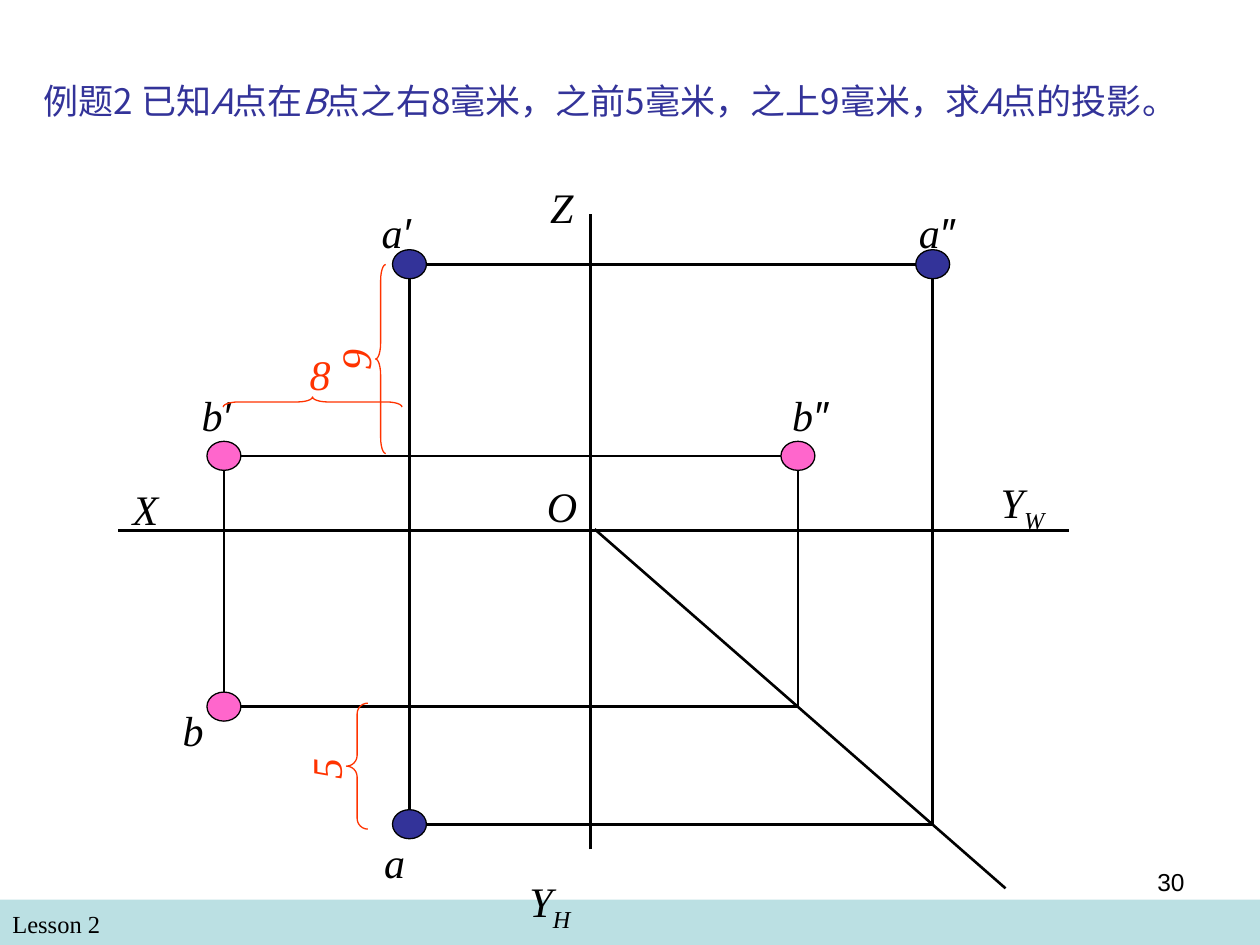
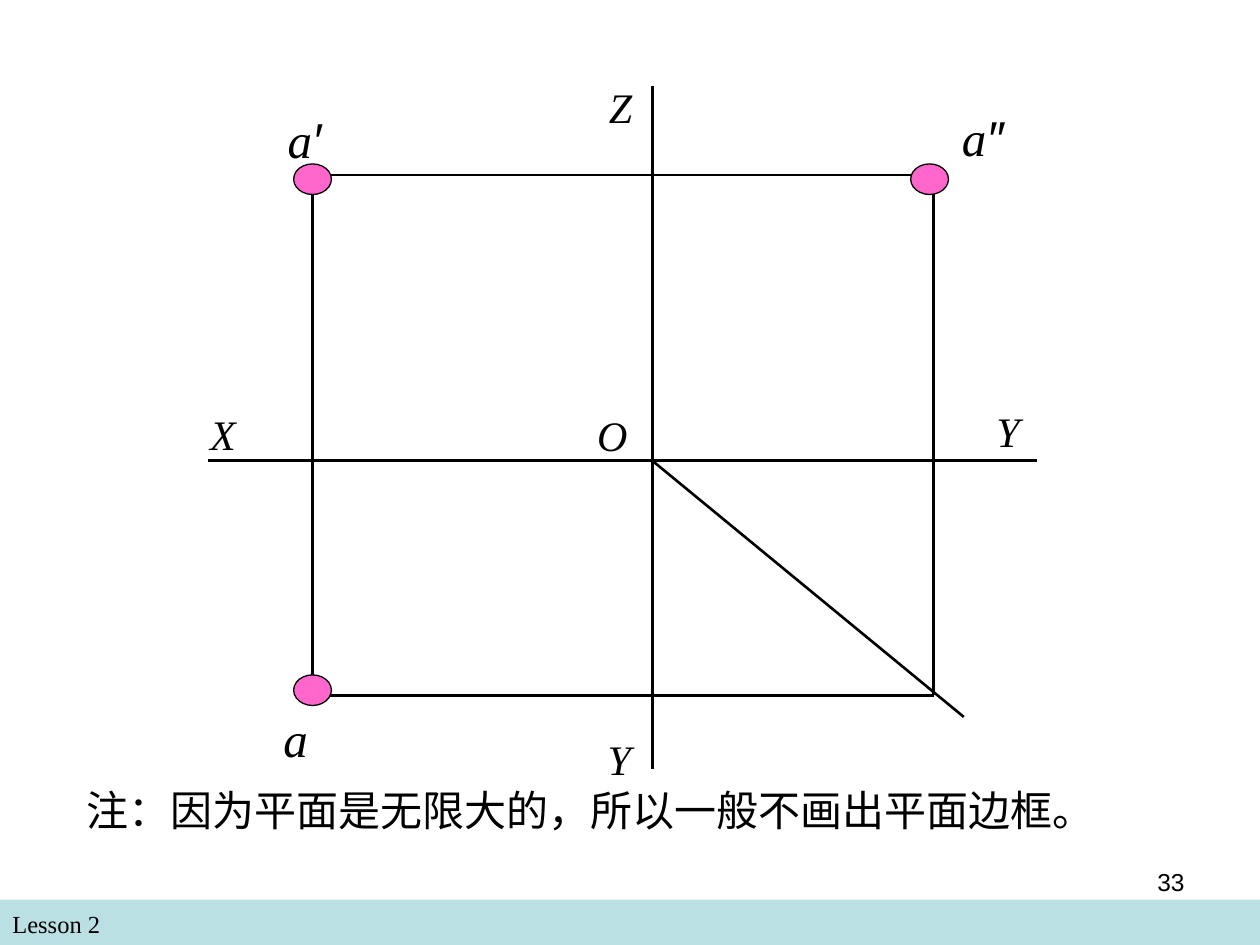
from pptx import Presentation
from pptx import util as u
from pptx.dml import color
from pptx.enum import shapes, text
from pptx.oxml import ns
from lxml import etree

# Shared style
BLACK, BLUE, PINK, RED, BAND = "000000", "333399", "FF66CC", "FF3300", "BBE0E3"
SERIF, SANS, CHINESE = "Times New Roman", "Arial", "Noto Sans CJK SC"
LEFT, CENTER, RIGHT = text.PP_ALIGN.LEFT, text.PP_ALIGN.CENTER, text.PP_ALIGN.RIGHT
TOP, MIDDLE = text.MSO_ANCHOR.TOP, text.MSO_ANCHOR.MIDDLE
rgb = color.RGBColor.from_string


def add_text(slide, box, runs, size, ink=BLACK, align=LEFT, anchor=MIDDLE,
             wrap=True, rotation=0):
    """Add a text box; each run is (text, font, italic, baseline)."""
    shape = slide.shapes.add_textbox(*[u.Pt(value) for value in box])
    shape.rotation = rotation
    frame = shape.text_frame
    frame.word_wrap = wrap
    frame.vertical_anchor = anchor
    paragraph = frame.paragraphs[0]
    paragraph.alignment = align
    for words, font, italic, baseline in runs:
        run = paragraph.add_run()
        run.text = words
        run.font.name = font
        run.font.size = u.Pt(size)
        run.font.italic = italic
        run.font.color.rgb = rgb(ink)
        properties = run.font._element
        etree.SubElement(properties, ns.qn("a:ea")).set("typeface", font)
        if baseline:
            properties.set("baseline", str(baseline))


def add_shape(slide, kind, box, fill=None, line=None):
    """Add a preset shape without shadow."""
    shape = slide.shapes.add_shape(kind, *[u.Pt(value) for value in box])
    shape.shadow.inherit = False
    if fill:
        shape.fill.solid()
        shape.fill.fore_color.rgb = rgb(fill)
    else:
        shape.fill.background()
    if line:
        shape.line.color.rgb = rgb(line)
        shape.line.width = u.Pt(0.75)
    else:
        shape.line.fill.background()
    return shape


# Example: projections of A found from those of B
ax, ay, a_front, a_side = 234, 471, 151, 533
bx, by, b_front, b_side = 128, 403.8, 260.5, 456
example = {
    "number": "30",
    "caption": ((18, 12.2, 671.8, 90), 20, BLUE, [
        ("例题2 已知", False), ("A", True), ("点在", False), ("B", True),
        ("点之右8毫米，之前5毫米，之上9毫米，求", False), ("A", True),
        ("点的投影。", False)]),
    "lines": [
        (ax, ay, a_side, ay), (ax, a_front, ax, ay),
        (a_side, ay, a_side, a_front), (ax, a_front, a_side, a_front),
        (bx, by, b_side, by), (bx, b_front, bx, by),
        (b_side, by, b_side, b_front), (bx, b_front, b_side, b_front),
        (339.8, 302.4, 574.6, 507.6),
        (610.6, 303, 67.7, 303), (337.5, 485.3, 337.5, 122.4)],
    "dot size": (19.4, 16.6),
    "dots": [(ax, a_front, BLUE), (a_side, a_front, BLUE), (ax, ay, BLUE),
             (bx, by, PINK), (bx, b_front, PINK), (b_side, b_front, PINK)],
    # left, top, width, height, size, letter, mark
    "labels": [
        (209.5, 114.5, 40.3, 36, 24, "a", "′ "),
        (517, 114.5, 43.2, 36, 24, "a", "″ "),
        (212.4, 474.5, 26, 36, 24, "a", ""),
        (106.6, 218.9, 40.3, 36, 24, "b", "′ "),
        (97.2, 398.9, 26, 36, 24, "b", ""),
        (424.8, 218.9, 82.8, 36, 24, "b", "″ "),
        (64.8, 272.9, 36.7, 36, 24, "X", ""),
        (303.1, 100.1, 36, 36, 24, "Z", ""),
        (305.3, 270.7, 31.7, 36, 24, "O", ""),
        (550.8, 268.6, 67, 40.3, 24, "Y", "W"),
        (280.8, 496.8, 67, 40.3, 24, "Y", "H")],
    # brace box, rotation, curl, then digit, its left and top, its rotation
    "braces": [
        ((214.6, 151.2, 5.8, 108), 0, 1.56, "9", 189.4, 187.9, 270),
        ((175.7, 178.6, 5.8, 102.2), 90, 1.5, "8", 169.9, 195.8, 0),
        ((198, 401.8, 12.2, 72), 0, 0.5, "5", 172.8, 421.2, 270)],
}

# Note: projections of a single point without plane borders
x, y, front, side = 178.6, 397.4, 100.1, 533.5
note = {
    "number": "33",
    "caption": ((42.5, 417.6, 648, 90), 24, BLACK,
                [("注：因为平面是无限大的，所以一般不画出平面边框。", False)]),
    "lines": [
        (172, y, side, y), (x, 107, x, 391), (side, y, side, front),
        (x, front, side, front), (372.2, 262.8, 550.8, 409.7),
        (592.6, 263, 118.8, 263), (373, 439.2, 373, 49)],
    "dot size": (21.6, 17.5),
    "dots": [(x, 102.4, PINK), (531.2, 102.4, PINK), (x, 394.4, PINK)],
    "labels": [
        (337.7, 43.2, 33.8, 36, 24, "Z", ""),
        (316.8, 415.4, 74.2, 36, 24, "Y", ""),
        (105.1, 229.7, 44.6, 36, 24, "X", ""),
        (538.6, 228.2, 74.9, 36, 24, "Y", ""),
        (334.1, 230.4, 31.7, 36, 24, "O", ""),
        (155.5, 59, 44.6, 41, 28, "a", "′ "),
        (533.5, 57.6, 56.2, 41, 28, "a", "″"),
        (154.8, 401, 28, 41, 28, "a", "")],
    "braces": [],
}

presentation = Presentation()
presentation.slide_width = u.Pt(720)
presentation.slide_height = u.Pt(540)

for drawing in (example, note):
    slide = presentation.slides.add_slide(presentation.slide_layouts[6])

    # Footer band
    add_shape(slide, shapes.MSO_SHAPE.RECTANGLE, (0, 514, 720, 26), BAND)
    add_text(slide, (0, 516.2, 347.8, 24.5), [("Lesson 2", SERIF, False, 0)],
             14, anchor=TOP)

    # Caption
    box, size, ink, parts = drawing["caption"]
    add_text(slide, box, [(words, CHINESE, italic, 0) for words, italic in parts],
             size, ink)

    # Axes and projection lines
    for ends in drawing["lines"]:
        connector = slide.shapes.add_connector(
            shapes.MSO_CONNECTOR.STRAIGHT, *[u.Pt(value) for value in ends])
        connector.line.color.rgb = rgb(BLACK)
        connector.line.width = u.Pt(1.5)
        etree.SubElement(connector._element.spPr, ns.qn("a:effectLst"))

    # Points
    width, height = drawing["dot size"]
    for center_x, center_y, fill in drawing["dots"]:
        add_shape(slide, shapes.MSO_SHAPE.OVAL,
                  (center_x - width / 2, center_y - height / 2, width, height),
                  fill, BLACK)

    # Letters with primes or subscripts
    for *box, size, letter, mark in drawing["labels"]:
        runs = [(letter, SERIF, True, 0)]
        if mark in ("W", "H"):
            runs.append((mark, SERIF, True, -25000))
        elif mark:
            runs.append((mark, SANS, True, 0))
        add_text(slide, box, runs, size, align=CENTER, wrap=False)

    # Distances
    for box, rotation, curl, digit, left, top, turn in drawing["braces"]:
        brace = add_shape(slide, shapes.MSO_SHAPE.LEFT_BRACE, box, line=RED)
        brace.rotation = rotation
        brace.adjustments[0] = curl
        add_text(slide, (left, top, 26, 36), [(digit, SERIF, True, 0)], 24, RED,
                 CENTER, wrap=False, rotation=turn)

    # Slide number
    add_text(slide, (516.2, 491.8, 167.8, 37.4),
             [(drawing["number"], SANS, False, 0)], 14, align=RIGHT, anchor=TOP)

presentation.save("out.pptx")
